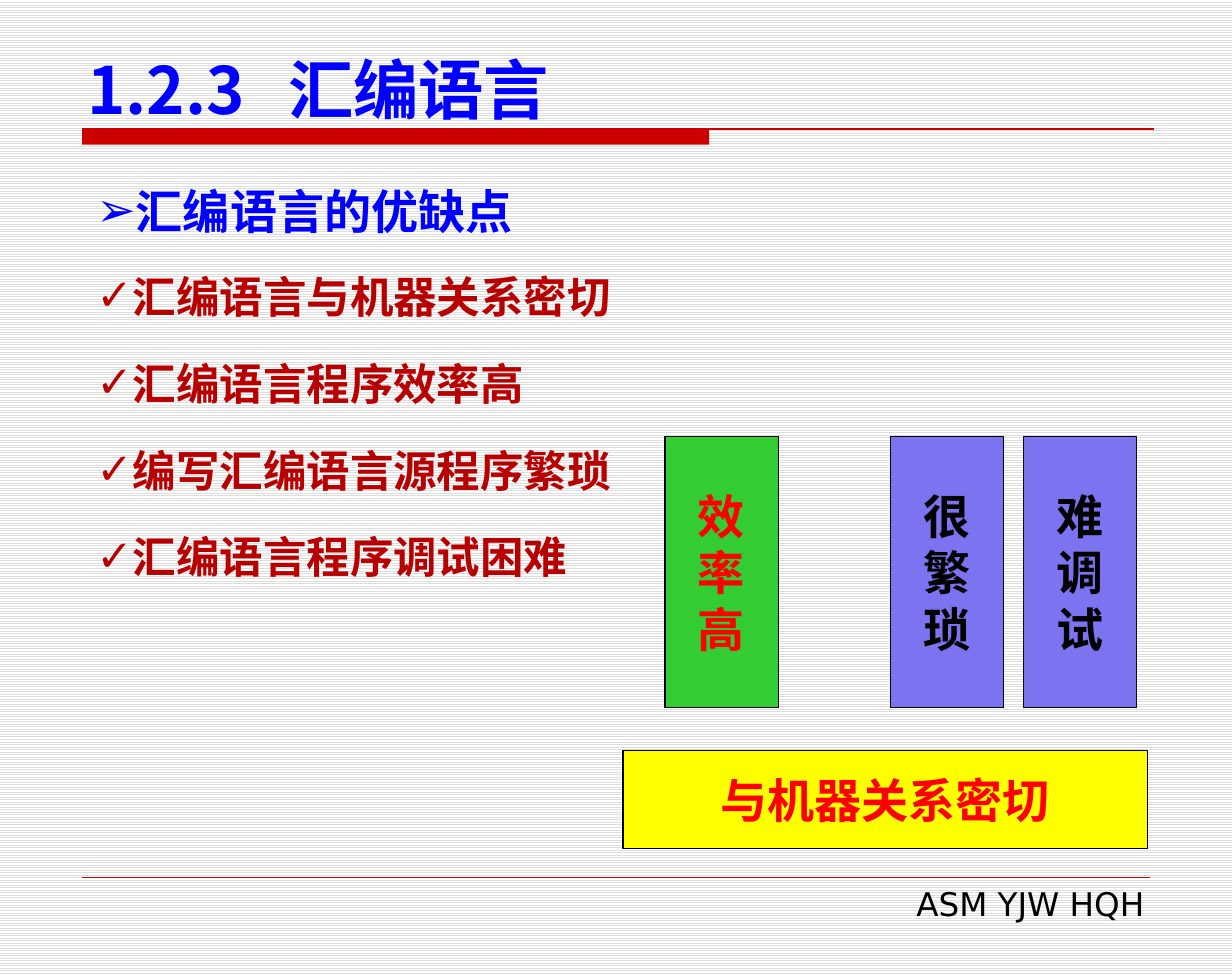
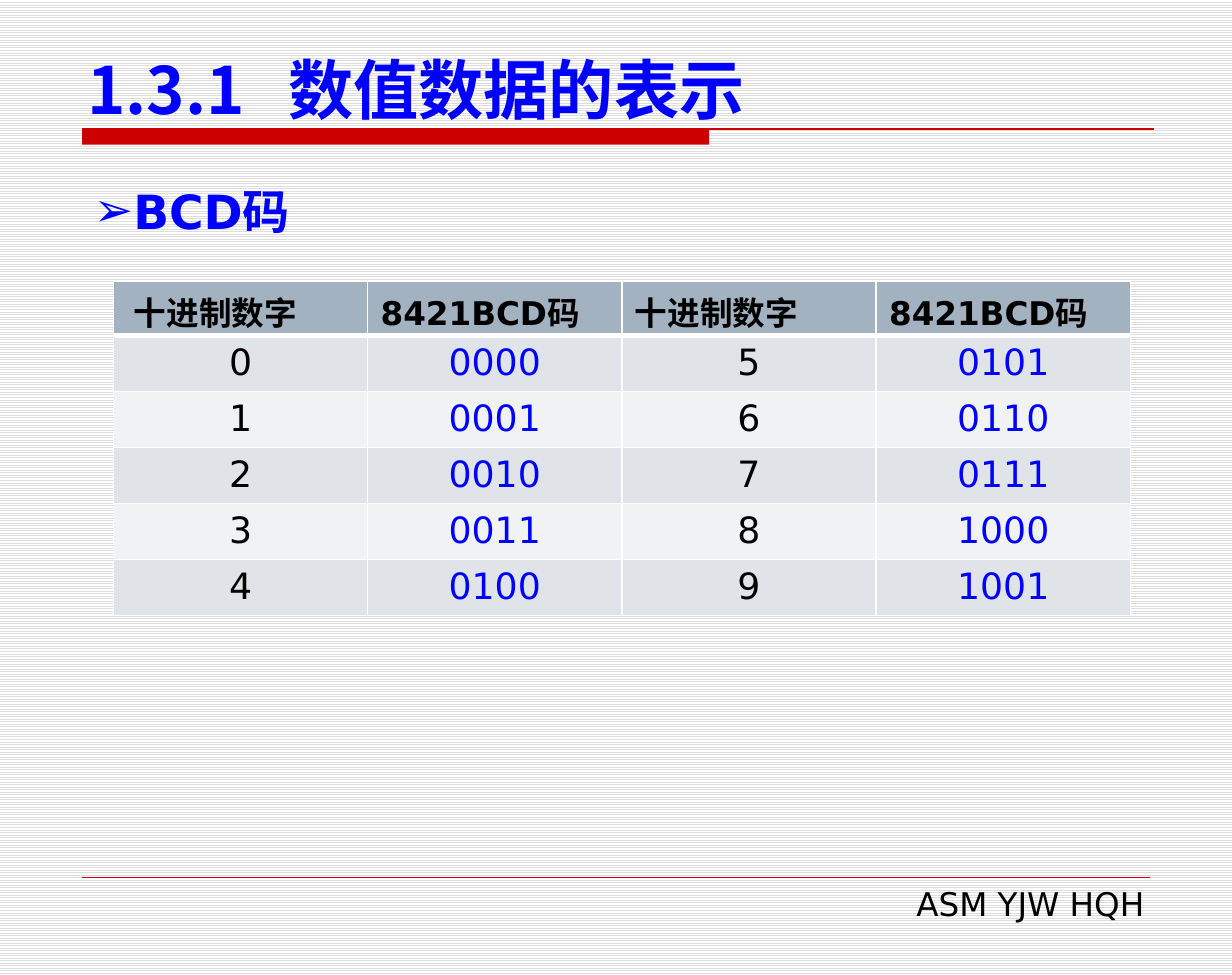
from pptx import Presentation
from pptx.dml.color import RGBColor
from pptx.enum import dml, shapes, text
from pptx.oxml import parse_xml
from pptx.oxml.ns import nsdecls, qn
from pptx.util import Inches, Pt

BLUE = RGBColor(0x00, 0x00, 0xFF)
RED = RGBColor(0xFF, 0x00, 0x00)
BAND = RGBColor(0xCC, 0x00, 0x00)
DARK = RGBColor(0xB9, 0x00, 0x00)
BLACK = RGBColor(0x00, 0x00, 0x00)
WHITE = RGBColor(0xFF, 0xFF, 0xFF)
STRIPE = RGBColor(0xDD, 0xDD, 0xDD)
YELLOW = RGBColor(0xFF, 0xFF, 0x00)
GREEN = RGBColor(0x33, 0xCC, 0x33)
VIOLET = RGBColor(0x7C, 0x73, 0xF1)
HEAD = RGBColor(0xA3, 0xB2, 0xC1)
ROWS = (RGBColor(0xE0, 0xE4, 0xE9), RGBColor(0xF0, 0xF2, 0xF4))

SANS = "DejaVu Sans"
HAN = "Noto Sans CJK SC"
LEFT, TOP, FOOT = 0.63, 0.99, 6.73

TITLE = dict(name=HAN, size=Pt(36), bold=True)
LABEL = dict(name=HAN, size=Pt(26), bold=True)
TOPIC = dict(name=SANS, size=Pt(26), bold=True)
CHECK = dict(name=HAN, size=Pt(24), bold=True)
NOTE = dict(name=SANS, size=Pt(18), bold=False)
CAPTION = dict(name=SANS, size=Pt(18), bold=True)
DIGIT = dict(name=SANS, size=Pt(20), bold=False)


def assign(target, **values):
    for key, value in values.items():
        setattr(target, key, value)


def place(shape, x, y, w, h):
    assign(shape, left=Inches(x), top=Inches(y),
           width=Inches(w), height=Inches(h))


def write(frame, lines, style, color, **layout):
    """Put one paragraph per line into a text frame."""
    for i, line in enumerate(lines):
        para = frame.add_paragraph() if i else frame.paragraphs[0]
        assign(para, **layout)
        run = para.add_run()
        run.text = line
        assign(run.font, **style)
        run.font.color.rgb = color
        run.font._element.get_or_add_latin().addnext(
            parse_xml(f'<a:ea {nsdecls("a")} typeface="{HAN}"/>'))


def inset(frame, wrap=True, anchor=text.MSO_ANCHOR.TOP):
    assign(frame, margin_left=Inches(0.11), margin_right=Inches(0.11),
           margin_top=Inches(0.05), margin_bottom=Inches(0.05),
           word_wrap=wrap, vertical_anchor=anchor,
           auto_size=text.MSO_AUTO_SIZE.NONE)


def rule(slide, x, y, end, weight):
    line = slide.shapes.add_connector(
        shapes.MSO_CONNECTOR.STRAIGHT,
        Inches(x), Inches(y), Inches(end), Inches(y))
    line.line.color.rgb = BAND
    line.line.width = Pt(weight)
    line._element.spPr.append(parse_xml(f'<a:effectLst {nsdecls("a")}/>'))
    return line


def block(slide, box, fill, edge=None):
    shape = slide.shapes.add_shape(
        shapes.MSO_SHAPE.RECTANGLE, *map(Inches, box))
    shape.shadow.inherit = False
    shape.fill.solid()
    shape.fill.fore_color.rgb = fill
    if edge is None:
        shape.line.fill.background()
    else:
        shape.line.color.rgb = edge
        shape.line.width = Pt(0.75)
    return shape


def label(slide, box, lines, fill, color):
    frame = block(slide, box, fill, BLACK).text_frame
    inset(frame, wrap=False, anchor=text.MSO_ANCHOR.MIDDLE)
    write(frame, lines, LABEL, color, alignment=text.PP_ALIGN.CENTER,
          line_spacing=Pt(31))


def brand(master, slide):
    """Draw the shared band, rules and footer, then move them to the master."""
    fill = master.background.fill
    fill.patterned()
    fill.pattern = dml.MSO_PATTERN.LIGHT_HORIZONTAL
    fill.fore_color.rgb = STRIPE
    fill.back_color.rgb = WHITE
    foot = slide.shapes.add_textbox(
        *map(Inches, (3.61, FOOT, 5.28, 0.41)))
    inset(foot.text_frame)
    write(foot.text_frame, ["ASM YJW HQH"], NOTE, BLACK,
          alignment=text.PP_ALIGN.RIGHT)
    parts = (block(slide, (LEFT, TOP, 4.81, 0.12), BAND),
             rule(slide, LEFT, TOP, 8.85, 0.75),
             rule(slide, LEFT, FOOT, 8.82, 0.25), foot)
    for part in parts:
        master.shapes._spTree.append(part._element)


def title(slide, number, name):
    shape = slide.shapes.title
    place(shape, 0.56, 0.28, 8.56, 0.71)
    frame = shape.text_frame
    inset(frame, anchor=text.MSO_ANCHOR.BOTTOM)
    frame.margin_bottom = Inches(0.01)
    write(frame, [f"{number}\t{name}"], TITLE, BLUE,
          alignment=text.PP_ALIGN.LEFT)
    frame.paragraphs[0]._p.get_or_add_pPr().append(parse_xml(
        f'<a:tabLst {nsdecls("a")}>'
        f'<a:tab pos="{Inches(1.54)}" algn="l"/></a:tabLst>'))


def bullets(shape, box, lines, mark, style, color, **layout):
    place(shape, *box)
    inset(shape.text_frame)
    write(shape.text_frame, lines, style, color, **layout)
    for para in shape.text_frame.paragraphs:
        props = para._p.get_or_add_pPr()
        props.set("marL", "0")
        props.set("indent", "0")
        for tag, name, value in (("buFont", "typeface", SANS),
                                 ("buChar", "char", mark)):
            props.append(parse_xml(
                f'<a:{tag} {nsdecls("a")} {name}="{value}"/>'))


def topic(slide, x, line):
    bullets(slide.placeholders[1], (x, 1.31, 8.19, 0.57), [line], "➢",
            TOPIC, BLUE, line_spacing=Pt(34))


def border(cell, top=1, bottom=1):
    props = cell._tc.get_or_add_tcPr()
    sides = dict(lnL=1, lnR=1, lnT=top, lnB=bottom)
    for i, (side, weight) in enumerate(sides.items()):
        props.insert(i, parse_xml(
            f'<a:{side} {nsdecls("a")} w="{Pt(weight)}"><a:solidFill>'
            f'<a:srgbClr val="{WHITE}"/></a:solidFill></a:{side}>'))


def codes(slide):
    """Table of the ten digits and their BCD codes, five to a column pair."""
    heads = [" 十进制数字", "8421BCD码", "十进制数字", "8421BCD码"]
    data = [heads] + [[str(n), f"{n:04b}", str(n + 5), f"{n + 5:04b}"]
                      for n in range(5)]
    table = slide.shapes.add_table(
        len(data), len(heads),
        *map(Inches, (0.87, 2.16, 7.8, 2.58))).table
    for col in table.columns:
        col.width = Inches(1.95)
    for r, row in enumerate(data):
        table.rows[r].height = Inches(0.43 if r else 0.41)
        for c, value in enumerate(row):
            cell = table.cell(r, c)
            assign(cell, margin_left=Inches(0.1), margin_right=Inches(0.1),
                   margin_top=Inches(0.05),
                   margin_bottom=Inches(0.05 if r else 0))
            cell.fill.solid()
            cell.fill.fore_color.rgb = ROWS[(r - 1) % 2] if r else HEAD
            border(cell, 3 if r == 1 else 1, 1 if r else 3)
            write(cell.text_frame, [value], DIGIT if r else CAPTION,
                  BLUE if r and c % 2 else BLACK,
                  alignment=text.PP_ALIGN.CENTER if r
                  else text.PP_ALIGN.LEFT)


def main():
    deck = Presentation()
    deck.slide_width, deck.slide_height = Inches(9.45), Inches(7.48)
    layouts = deck.slide_layouts

    slide = deck.slides.add_slide(layouts.get_by_name("Two Content"))
    brand(deck.slide_master, slide)
    title(slide, "1.2.3", "汇编语言")
    topic(slide, LEFT, "汇编语言的优缺点")
    bullets(slide.placeholders[2], (LEFT, 1.92, 4.65, 2.63),
            ["汇编语言与机器关系密切", "汇编语言程序效率高",
             "编写汇编语言源程序繁琐", "汇编语言程序调试困难"],
            "✓", CHECK, DARK, line_spacing=Pt(36), space_before=Pt(12))
    label(slide, (4.78, 5.76, 4.02, 0.75), ["与机器关系密切"], YELLOW, RED)
    for x, word, fill, color in ((5.1, "效率高", GREEN, RED),
                                 (6.83, "很繁琐", VIOLET, BLACK),
                                 (7.85, "难调试", VIOLET, BLACK)):
        label(slide, (x, 3.35, 0.87, 2.08), word, fill, color)

    slide = deck.slides.add_slide(layouts.get_by_name("Title and Content"))
    title(slide, "1.3.1", "数值数据的表示")
    topic(slide, 0.61, "BCD码")
    codes(slide)

    deck.save("out.pptx")


if __name__ == "__main__":
    main()
